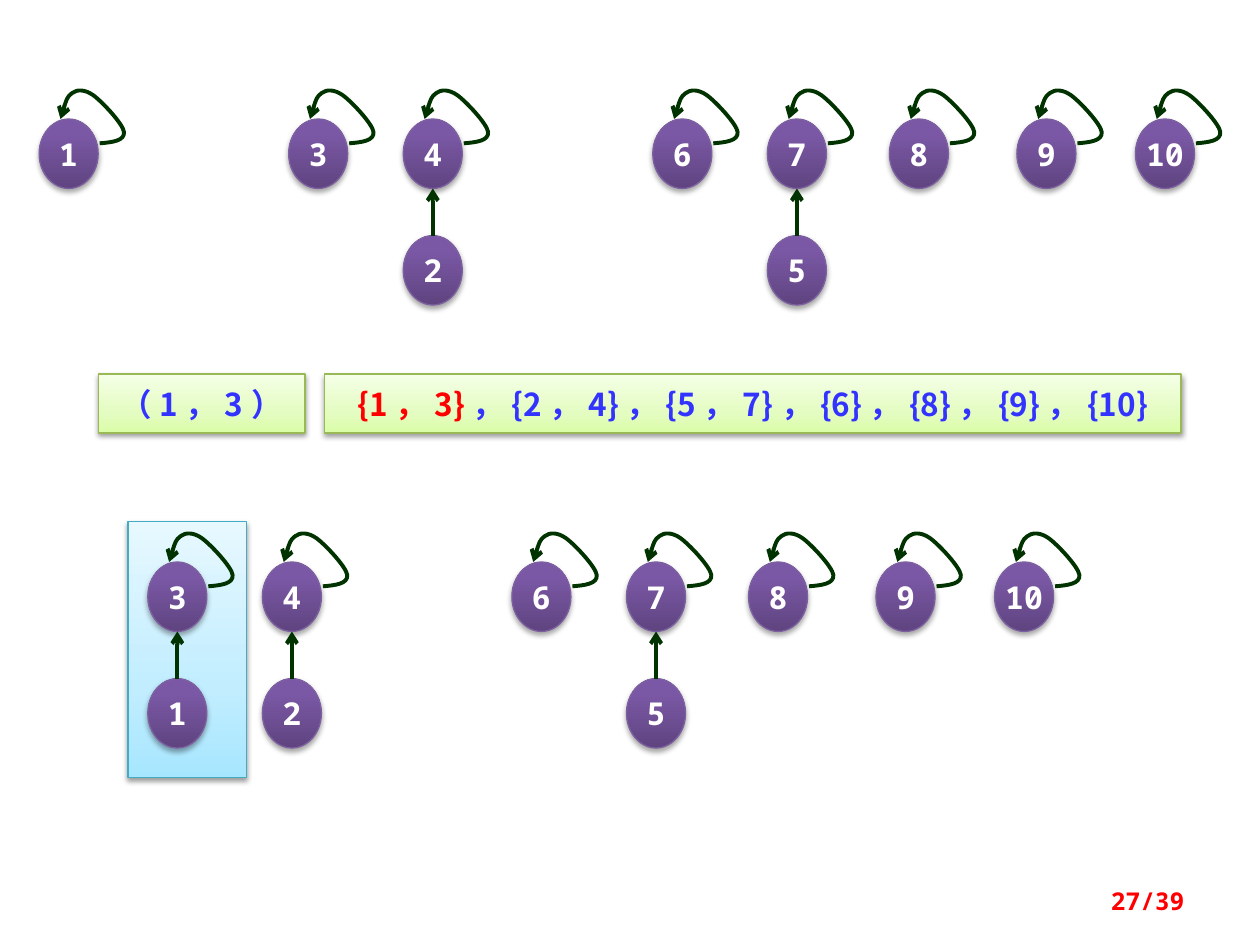
from lxml import etree
from pptx import Presentation
from pptx.dml.color import RGBColor
from pptx.enum.shapes import MSO_CONNECTOR, MSO_SHAPE
from pptx.enum.text import MSO_ANCHOR, PP_ALIGN
from pptx.oxml.ns import qn
from pptx.util import Cm, Pt

RECT, OVAL = MSO_SHAPE.RECTANGLE, MSO_SHAPE.OVAL
STRAIGHT = MSO_CONNECTOR.STRAIGHT
MIDDLE = MSO_ANCHOR.MIDDLE
CENTER, RIGHT = PP_ALIGN.CENTER, PP_ALIGN.RIGHT
CJK, MONO = "Noto Sans CJK SC", "Noto Sans Mono"

COLORS = {"arrow": "003300", "set": "3333FF", "merged": "FF0000",
          "page": "FF0000", "node": "FFFFFF"}
# Look of each filled shape: gradient stops (bottom to top), outline,
# shadow opacity (%) and shadow distance (pt)
LOOKS = {
    "node": ([(0, "5F4480"), (80, "7B58A6"), (100, "7C57A8")], "7D60A0", 35, 1.8),
    "label": ([(0, "DAFDA7"), (35, "E4FCC2"), (100, "F5FFE7")], "98B955", 38, 1.6),
    "marker": ([(0, "A7E6FF"), (35, "C1EDFF"), (100, "E7F8FF")], "46AAC5", 38, 1.6),
}

# Content, lengths in cm: left edge of each root's column in the upper forest
COLUMNS = {"1": 0.79, "3": 5.82, "4": 8.13, "6": 13.16, "7": 15.47,
           "8": 17.93, "9": 20.5, "10": 22.89}
# Each forest: left shift, top, and root -> child (None for a single node)
FORESTS = [
    (-2.84, 11.33, {"3": "1", "4": "2", "6": None, "7": "5",
                    "8": None, "9": None, "10": None}),
    (0, 2.4, {"1": None, "3": None, "4": "2", "6": None, "7": "5",
              "8": None, "9": None, "10": None}),
]
LABELS = [  # left, width, runs
    (1.98, 4.17, [("（1，3）", "set")]),
    (6.54, 17.27, [("{1，3}", "merged"),
                   ("，{2，4}，{5，7}，{6}，{8}，{9}，{10}", "set")]),
]
LABEL_TOP, LABEL_H = 7.54, 1.19
MARKER = (2.58, 10.52, 2.39, 5.16)
NODE_W, NODE_H, LEVEL = 1.19, 1.4, 2.35

# Self-loop: box offset from the node's corner and size, then the start
# and the Bézier segments measured inside that box
LOOP_X, LOOP_Y, LOOP_W, LOOP_H = 0.43, -0.6, 1.3, 1.09
LOOP_START = (0.79, 1.09)
LOOP = [
    ((1.04, 1.07), (1.3, 1.04), (1.28, 0.86)),
    ((1.26, 0.7), (0.84, 0.25), (0.66, 0.12)),
    ((0.49, 0), (0.33, 0), (0.23, 0.08)),
    ((0.13, 0.15), (0.06, 0.38), (0, 0.6)),
]

prs = Presentation()
prs.slide_width, prs.slide_height = Cm(25.4), Cm(19.05)
s = prs.slides.add_slide(prs.slide_layouts[6])


def rgb(name):
    return RGBColor.from_string(COLORS[name])


def add_xml(parent, tag, **attrs):
    return etree.SubElement(parent, qn(tag), {k: str(v) for k, v in attrs.items()})


def add_text(sp, runs, font, size=18, align=CENTER):
    tf = sp.text_frame
    tf.word_wrap = True
    tf.vertical_anchor = MIDDLE
    p = tf.paragraphs[0]
    p.alignment = align
    for text, color in runs:
        r = p.add_run()
        r.text = text
        r.font.size, r.font.bold, r.font.name = Pt(size), True, font
        r.font.color.rgb = rgb(color)
        add_xml(p.runs[-1]._r.get_or_add_rPr(), "a:ea", typeface=font)


def add_box(kind, look, x, y, w, h):
    stops, outline, opacity, distance = LOOKS[look]
    sp = s.shapes.add_shape(kind, Cm(x), Cm(y), Cm(w), Cm(h))
    sp.fill.gradient()
    sp.fill.gradient_angle = 90
    sp.line.color.rgb = RGBColor.from_string(outline)
    sp.line.width = Pt(0.75)
    sp.shadow.inherit = False
    props = sp.element.spPr
    # Three gradient stops
    stop_list = props.find(".//" + qn("a:gsLst"))
    for old in list(stop_list):
        stop_list.remove(old)
    for pos, color in stops:
        add_xml(add_xml(stop_list, "a:gs", pos=pos * 1000), "a:srgbClr", val=color)
    # Soft shadow below
    shadow = add_xml(props.find(qn("a:effectLst")), "a:outerShdw", blurRad=Pt(3.1),
                     dist=Pt(distance), dir=5400000, rotWithShape=0)
    add_xml(add_xml(shadow, "a:srgbClr", val="000000"), "a:alpha", val=opacity * 1000)
    return sp


def style_arrow(sp):
    sp.line.color.rgb = rgb("arrow")
    sp.line.width = Pt(2.25)
    props = sp.element.spPr
    add_xml(props.find(qn("a:ln")), "a:tailEnd", type="arrow")
    add_xml(props, "a:effectLst")


def add_node(text, x, y):
    sp = add_box(OVAL, "node", x, y, NODE_W, NODE_H)
    sp.text_frame.margin_left = sp.text_frame.margin_right = 0
    add_text(sp, [(text, "node")], MONO)


def add_loop(x, y):
    fb = s.shapes.build_freeform(0, 0)
    fb.add_line_segments([(Cm(LOOP_W), Cm(LOOP_H))], close=False)
    sp = fb.convert_to_shape(Cm(x + LOOP_X), Cm(y + LOOP_Y))
    # Turn the outline into Bézier segments
    outline = sp.element.spPr.find(".//" + qn("a:path"))
    for old in list(outline):
        outline.remove(old)
    steps = [("a:moveTo", [LOOP_START])] + [("a:cubicBezTo", seg) for seg in LOOP]
    for tag, points in steps:
        step = add_xml(outline, tag)
        for px, py in points:
            add_xml(step, "a:pt", x=Cm(px), y=Cm(py))
    sp.fill.background()
    style_arrow(sp)


# Highlight behind the merged tree
add_box(RECT, "marker", *MARKER)

# Pair and resulting sets
for left, width, runs in LABELS:
    add_text(add_box(RECT, "label", left, LABEL_TOP, width, LABEL_H), runs, CJK)

# Forests after and before the union
for shift, top, trees in FORESTS:
    for root, child in trees.items():
        left = COLUMNS[root] + shift
        add_node(root, left, top)
        add_loop(left, top)
        if child:
            add_node(child, left, top + LEVEL)
            mid = Cm(left + NODE_W / 2)
            style_arrow(s.shapes.add_connector(
                STRAIGHT, mid, Cm(top + LEVEL), mid, Cm(top + NODE_H)))

# Page number
page = s.shapes.add_textbox(Cm(18.21), Cm(17.65), Cm(5.92), Cm(1.02))
add_text(page, [("27/39", "page")], MONO, 14, RIGHT)

prs.save("out.pptx")
